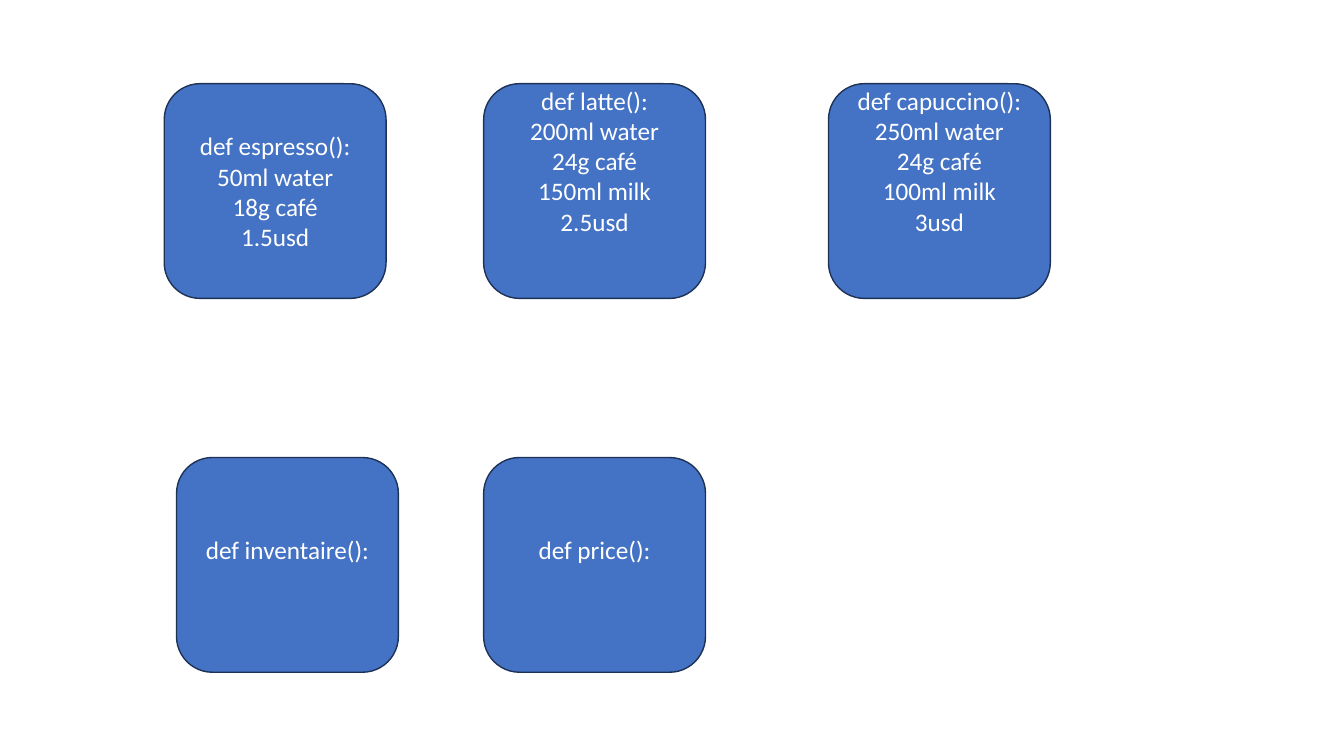
import pptx
import pptx.dml.color
import pptx.enum.shapes
import pptx.enum.text
import pptx.util

Cm = pptx.util.Cm
BOX_WIDTH, BOX_HEIGHT = 5.59, 5.41
TOP_ROW, BOTTOM_ROW = 2.11, 11.53
MIDDLE_COLUMN = 12.19
LINE_HEIGHT = 0.77
INSET = 0.13


def color(value):
    """Turn a hex string into a colour."""
    return pptx.dml.color.RGBColor.from_string(value)


def write_line(para, text, size=18, font="Calibri", fill="FFFFFF"):
    """Write one centred line of formatted text."""
    para.alignment = pptx.enum.text.PP_ALIGN.CENTER
    span = para.add_run()
    span.text = text
    span.font.size = pptx.util.Pt(size)
    span.font.name = font
    span.font.color.rgb = color(fill)


def add_function_box(page, left, top, lines, lines_below=0):
    """Add a rounded box, with room for some lines kept below its text."""
    box = page.shapes.add_shape(
        pptx.enum.shapes.MSO_SHAPE.ROUNDED_RECTANGLE,
        Cm(left), Cm(top), Cm(BOX_WIDTH), Cm(BOX_HEIGHT))
    box.shadow.inherit = False
    box.fill.solid()
    box.fill.fore_color.rgb = color("4472C4")
    box.line.color.rgb = color("1E3256")
    box.line.width = pptx.util.Pt(1)
    frame = box.text_frame
    frame.word_wrap = True
    frame.vertical_anchor = pptx.enum.text.MSO_ANCHOR.MIDDLE
    frame.margin_top = Cm(INSET)
    frame.margin_bottom = Cm(INSET + lines_below * LINE_HEIGHT)
    for index, text in enumerate(lines):
        para = frame.add_paragraph() if index else frame.paragraphs[0]
        write_line(para, text)


def main():
    """Build the slide of coffee machine functions."""
    deck = pptx.Presentation()
    deck.slide_width, deck.slide_height = Cm(33.87), Cm(19.05)
    page = deck.slides.add_slide(deck.slide_layouts[6])
    add_function_box(page, 4.14, TOP_ROW, [
        "def espresso():", "50ml water", "18g café", "1.5usd"])
    add_function_box(page, MIDDLE_COLUMN, TOP_ROW, [
        "def latte():", "200ml water", "24g café", "150ml milk", "2.5usd"],
        lines_below=2)
    add_function_box(page, 20.88, TOP_ROW, [
        "def capuccino():", "250ml water", "24g café", "100ml milk", "3usd"],
        lines_below=2)
    add_function_box(page, 4.45, BOTTOM_ROW, ["def inventaire():"], lines_below=1)
    add_function_box(page, MIDDLE_COLUMN, BOTTOM_ROW, ["def price():"], lines_below=1)
    deck.save("out.pptx")


if __name__ == "__main__":
    main()
